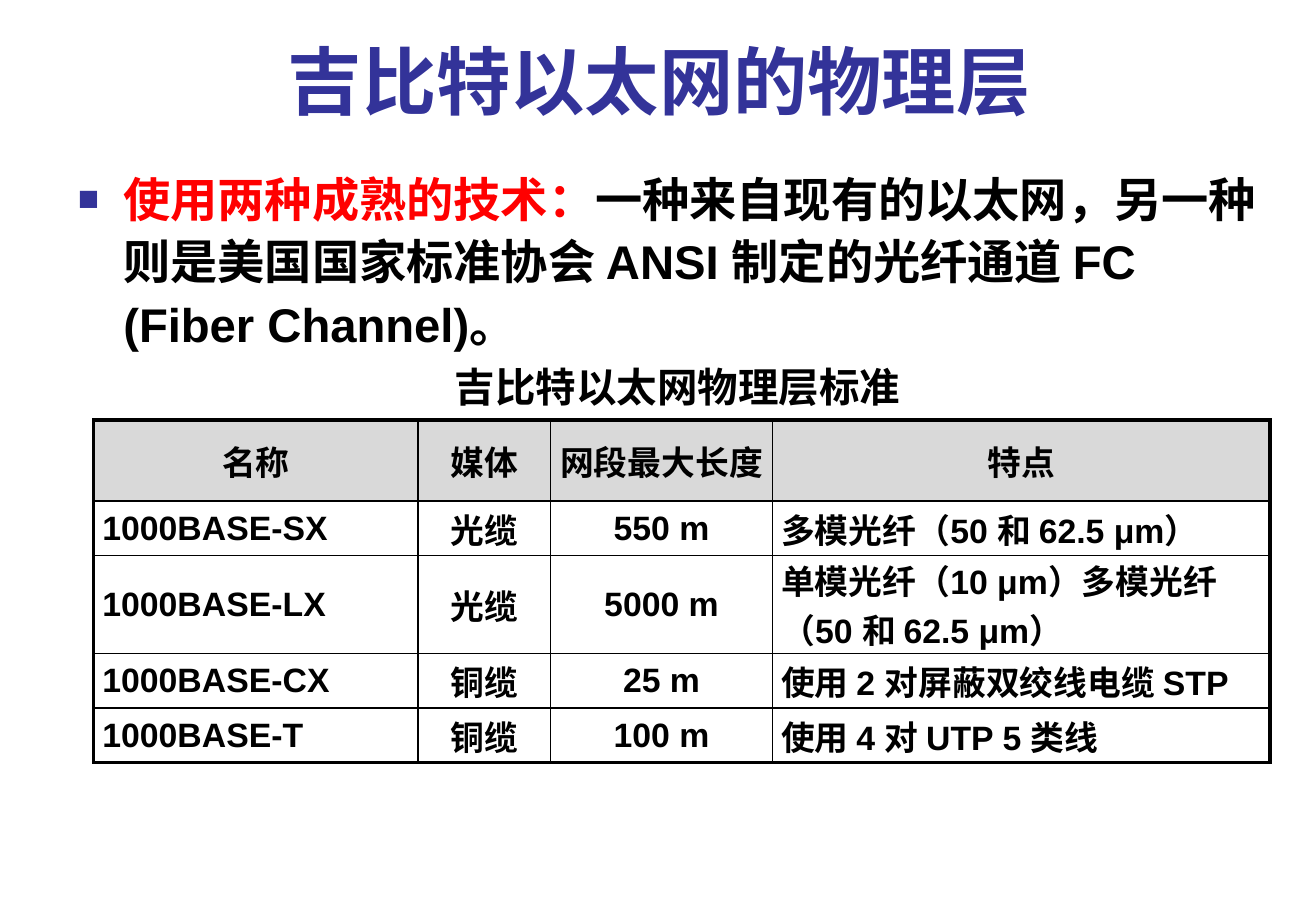
from lxml.etree import SubElement
from pptx import Presentation
from pptx.dml.color import RGBColor
from pptx.enum.text import MSO_ANCHOR as Anchor, PP_ALIGN as Align
from pptx.oxml.ns import qn
from pptx.util import Cm, Pt

NAVY = RGBColor(0x33, 0x33, 0x99)
RED = RGBColor(0xFF, 0x00, 0x00)
BLACK = RGBColor(0x00, 0x00, 0x00)
GREY = RGBColor(0xD9, 0xD9, 0xD9)
FONT = "Arial"

COLUMN_WIDTHS = [6.78, 2.77, 4.64, 10.4]
ROW_HEIGHTS = [1.7, 1.14, 2.05, 1.14, 1.14]
COLUMN_ALIGNS = [Align.JUSTIFY, Align.CENTER, Align.CENTER, Align.LEFT]
STANDARDS = [
    ["名称", "媒体", "网段最大长度", "特点"],
    ["1000BASE-SX", "光缆", "550 m", "多模光纤（50 和 62.5 μm）"],
    ["1000BASE-LX", "光缆", "5000 m", "单模光纤（10 μm）多模光纤（50 和 62.5 μm）"],
    ["1000BASE-CX", "铜缆", "25 m", "使用 2 对屏蔽双绞线电缆 STP"],
    ["1000BASE-T", "铜缆", "100 m", "使用 4 对 UTP 5 类线"],
]


def add_run(paragraph, text, size, color=BLACK):
    run = paragraph.add_run()
    run.text = text
    run.font.name = FONT
    run.font.size = Pt(size)
    run.font.bold = True
    run.font.color.rgb = color


def add_frame(slide, box, anchor):
    frame = slide.shapes.add_textbox(*(Cm(length) for length in box)).text_frame
    frame.word_wrap = True
    frame.vertical_anchor = anchor
    return frame


def add_heading(slide, box, text, size, color, anchor):
    paragraph = add_frame(slide, box, anchor).paragraphs[0]
    paragraph.alignment = Align.CENTER
    add_run(paragraph, text, size, color)


def add_square_bullet(paragraph):
    props = paragraph._p.get_or_add_pPr()
    props.set("marL", str(Cm(0.95)))
    props.set("indent", str(-Cm(0.95)))
    color = SubElement(props, qn("a:buClr"))
    SubElement(color, qn("a:srgbClr"), val=str(NAVY))
    SubElement(props, qn("a:buSzPct"), val="75000")
    SubElement(props, qn("a:buFont"), typeface=FONT)
    SubElement(props, qn("a:buChar"), char="■")


def add_body(slide, box):
    paragraph = add_frame(slide, box, Anchor.TOP).paragraphs[0]
    add_square_bullet(paragraph)
    paragraph.line_spacing = 1.1
    add_run(paragraph, "使用两种成熟的技术：", 28, RED)
    add_run(paragraph, "一种来自现有的以太网，另一种则是美国国家标准协会 ANSI "
                       "制定的光纤通道 FC (Fiber Channel)。", 28)


def set_borders(cell, outer_sides):
    """Draw thin black borders, thick on the sides at the table's edge."""
    props = cell._tc.get_or_add_tcPr()
    for index, side in enumerate("LRTB"):
        width = Pt(2.25 if side in outer_sides else 1)
        line = props.makeelement(qn(f"a:ln{side}"), {"w": str(width)})
        fill = SubElement(line, qn("a:solidFill"))
        SubElement(fill, qn("a:srgbClr"), val=str(BLACK))
        props.insert(index, line)


def add_standards_table(slide, left, top):
    last_row, last_column = len(ROW_HEIGHTS) - 1, len(COLUMN_WIDTHS) - 1
    table = slide.shapes.add_table(
        len(ROW_HEIGHTS), len(COLUMN_WIDTHS), Cm(left), Cm(top),
        Cm(sum(COLUMN_WIDTHS)), Cm(sum(ROW_HEIGHTS))).table
    table.first_row = table.horz_banding = False
    for column, width in zip(table.columns, COLUMN_WIDTHS):
        column.width = Cm(width)
    for r, (height, texts) in enumerate(zip(ROW_HEIGHTS, STANDARDS)):
        table.rows[r].height = Cm(height)
        for c, text in enumerate(texts):
            cell = table.cell(r, c)
            cell.vertical_anchor = Anchor.MIDDLE
            cell.margin_left = cell.margin_right = Cm(0.18)
            cell.margin_top = cell.margin_bottom = 0
            if r == 0:
                cell.fill.solid()
                cell.fill.fore_color.rgb = GREY
            else:
                cell.fill.background()
            paragraph = cell.text_frame.paragraphs[0]
            paragraph.alignment = COLUMN_ALIGNS[c] if r else Align.CENTER
            add_run(paragraph, text, 20)
            edges = {"L": c == 0, "R": c == last_column,
                     "T": r == 0, "B": r == last_row}
            set_borders(cell, [side for side, outer in edges.items() if outer])


def main():
    deck = Presentation()
    deck.slide_width, deck.slide_height = Cm(27.51), Cm(19.05)
    slide = deck.slides.add_slide(deck.slide_layouts[6])
    add_heading(slide, (1.38, 0.53, 25.17, 2.19), "吉比特以太网的物理层 ",
                44, NAVY, Anchor.BOTTOM)
    add_body(slide, (1.38, 3.32, 25.17, 13.72))
    add_standards_table(slide, 1.96, 8.78)
    add_heading(slide, (7.16, 7.44, 14, 1.27), "吉比特以太网物理层标准",
                24, BLACK, Anchor.MIDDLE)
    deck.save("out.pptx")


if __name__ == "__main__":
    main()
